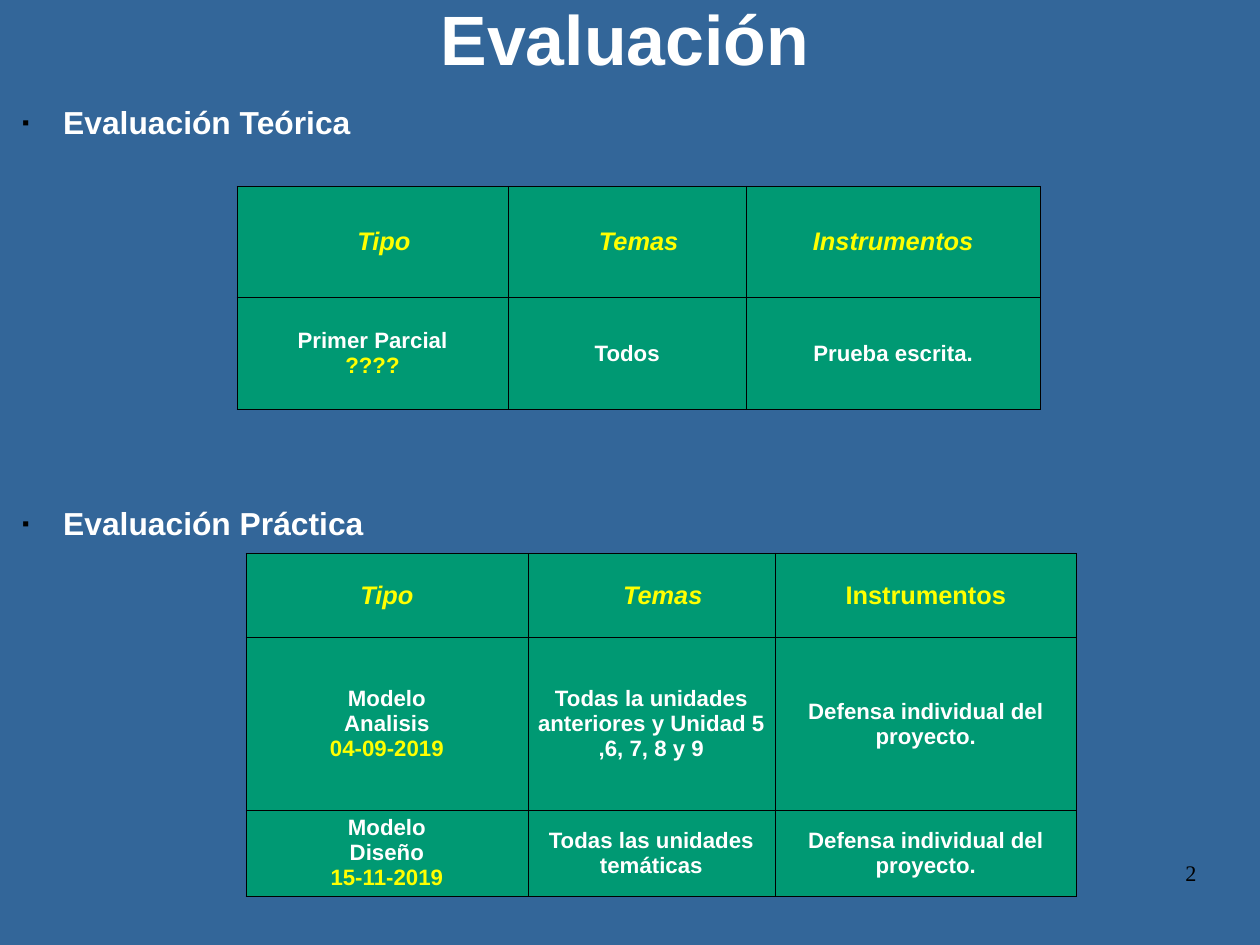
import lxml.etree
import pptx
import pptx.dml.color
import pptx.enum.text
import pptx.oxml.ns
import pptx.util

Pt = pptx.util.Pt
RGBColor = pptx.dml.color.RGBColor
ALIGN = pptx.enum.text.PP_ALIGN
ANCHOR = pptx.enum.text.MSO_ANCHOR
qn = pptx.oxml.ns.qn

BLUE = RGBColor(0x33, 0x66, 0x99)
GREEN = RGBColor(0x00, 0x99, 0x73)
YELLOW = RGBColor(0xFF, 0xFF, 0x00)
WHITE = RGBColor(0xFF, 0xFF, 0xFF)
BLACK = RGBColor(0x00, 0x00, 0x00)


def add_xml(parent, tag, **attrs):
    return lxml.etree.SubElement(parent, qn(tag), attrs)


def write(p, text, size=14, color=WHITE, font="Arial", bold=True, italic=False,
          align=ALIGN.CENTER, spacing=None, before=0, after=0):
    p.alignment = align
    p.line_spacing = spacing
    p.space_before = Pt(before)
    p.space_after = Pt(after)
    r = p.add_run()
    r.text = text
    r.font.name = font
    r.font.size = Pt(size)
    r.font.bold = bold
    r.font.italic = italic
    r.font.color.rgb = color


class Deck:
    line_spacing = 0.98
    cell_margin = 3.6
    border = 0.45

    def __init__(self, width, height):
        self.prs = pptx.Presentation()
        self.prs.slide_width = Pt(width)
        self.prs.slide_height = Pt(height)
        self.s = self.prs.slides.add_slide(self.prs.slide_layouts[1])
        self.s.background.fill.solid()
        self.s.background.fill.fore_color.rgb = BLUE

    def frame(self, sp, box, anchor=ANCHOR.TOP):
        sp.left, sp.top, sp.width, sp.height = map(Pt, box)
        tf = sp.text_frame
        tf.word_wrap = True
        tf.auto_size = pptx.enum.text.MSO_AUTO_SIZE.NONE
        tf.vertical_anchor = anchor
        tf.margin_left = tf.margin_top = tf.margin_right = tf.margin_bottom = 0
        return tf

    def number(self, text, *box):
        sp = self.s.shapes.add_textbox(0, 0, 0, 0)
        tf = self.frame(sp, box)
        write(tf.paragraphs[0], text, color=BLACK, font="Times New Roman",
              bold=False, align=ALIGN.RIGHT, spacing=self.line_spacing)

    def title(self, text, *box):
        tf = self.frame(self.s.shapes.title, box, ANCHOR.MIDDLE)
        write(tf.paragraphs[0], text, size=44, spacing=self.line_spacing)

    def bullets(self, items, gap, *box):
        tf = self.frame(self.s.placeholders[1], box)
        for i, text in enumerate(items):
            p = tf.add_paragraph() if i else tf.paragraphs[0]
            p.level = 3
            pPr = p._p.get_or_add_pPr()
            pPr.set("marL", str(Pt(34)))
            pPr.set("indent", str(Pt(-25.5)))
            add_xml(add_xml(pPr, "a:buClr"), "a:srgbClr", val=str(BLACK))
            add_xml(pPr, "a:buSzPct", val="33000")
            add_xml(pPr, "a:buFont", typeface="Arial")
            add_xml(pPr, "a:buChar", char="■")
            write(p, text, size=20, align=ALIGN.LEFT,
                  spacing=self.line_spacing, before=gap if i else 0)

    def cell(self, cell):
        tcPr = cell._tc.get_or_add_tcPr()
        for side in ("a:lnL", "a:lnR", "a:lnT", "a:lnB"):
            ln = add_xml(tcPr, side, w=str(Pt(self.border)))
            add_xml(add_xml(ln, "a:solidFill"), "a:srgbClr", val=str(BLACK))
        cell.fill.solid()
        cell.fill.fore_color.rgb = GREEN
        cell.vertical_anchor = ANCHOR.MIDDLE
        cell.margin_left = cell.margin_right = Pt(self.cell_margin)
        cell.margin_top = cell.margin_bottom = Pt(self.cell_margin)
        return cell.text_frame

    def table(self, left, top, widths, heights, header, rows):
        shape = self.s.shapes.add_table(
            len(heights), len(widths), Pt(left), Pt(top),
            Pt(sum(widths)), Pt(sum(heights)))
        table = shape.table
        table.first_row = table.horz_banding = False
        for col, width in zip(table.columns, widths):
            col.width = Pt(width)
        for row, height in zip(table.rows, heights):
            row.height = Pt(height)
        for c, (text, indent, italic) in enumerate(header):
            p = self.cell(table.cell(0, c)).paragraphs[0]
            p._p.get_or_add_pPr().set("marL", str(Pt(indent)))
            write(p, text, size=16, color=YELLOW, italic=italic)
        for r, row in enumerate(rows, 1):
            for c, text in enumerate(row):
                tf = self.cell(table.cell(r, c))
                lines = text.split("\n")
                for i, line in enumerate(lines):
                    p = tf.add_paragraph() if i else tf.paragraphs[0]
                    is_date = c == 0 and i == len(lines) - 1
                    write(p, line, color=YELLOW if is_date else WHITE)


def main():
    deck = Deck(793.7, 595.3)
    deck.number("2", 568.8, 542.2, 185, 41)
    deck.title("Evaluación", 36.7, 3.6, 714.2, 44.6)
    deck.bullets(["Evaluación Teórica", "Evaluación Práctica"], 228.8,
                 5.8, 66.2, 769.7, 529)
    deck.table(
        154.9, 348.5, (177.6, 155.6, 190.2), (53.2, 108.6, 54),
        [("Tipo", 0, True), ("Temas", 14.4, True), ("Instrumentos", 0, False)],
        [("Modelo\nAnalisis\n04-09-2019",
          "Todas la unidades anteriores y Unidad 5 ,6, 7, 8 y 9",
          "Defensa individual del proyecto."),
         ("Modelo\nDiseño\n15-11-2019",
          "Todas las unidades temáticas",
          "Defensa individual del proyecto.")])
    deck.table(
        149.2, 117.3, (171, 149.8, 185.4), (69.8, 71),
        [("Tipo", 14.4, True), ("Temas", 14.4, True), ("Instrumentos", 0, True)],
        [("Primer Parcial\n????", "Todos", "Prueba escrita.")])
    deck.prs.save("out.pptx")


if __name__ == "__main__":
    main()
